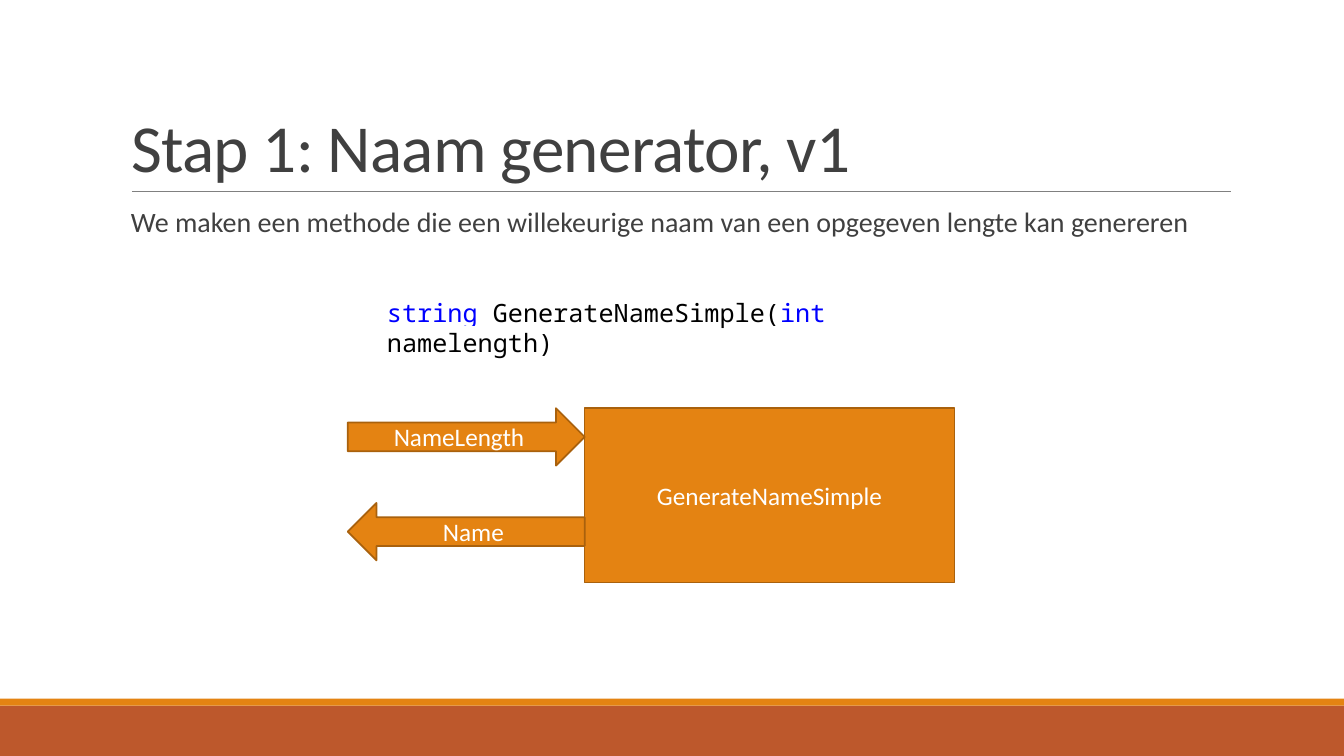
from typing import NamedTuple

from lxml import etree
from pptx import Presentation
from pptx.dml.color import RGBColor
from pptx.enum.shapes import MSO_CONNECTOR, MSO_SHAPE
from pptx.enum.text import MSO_ANCHOR, MSO_AUTO_SIZE, PP_ALIGN
from pptx.oxml.ns import qn
from pptx.slide import Slide
from pptx.text.text import TextFrame
from pptx.util import Pt

ORANGE = RGBColor(0xE4, 0x83, 0x12)
DARK_ORANGE = RGBColor(0xA9, 0x61, 0x0D)
RUST = RGBColor(0xBD, 0x58, 0x2C)
GRAY = RGBColor(0x80, 0x80, 0x80)
CHARCOAL = RGBColor(0x40, 0x40, 0x40)
WHITE = RGBColor(0xFF, 0xFF, 0xFF)
BLACK = RGBColor(0, 0, 0)
KEYWORD_BLUE = RGBColor(0, 0, 0xFF)

SLIDE_WIDTH, SLIDE_HEIGHT = 960, 540
CONTENT_LEFT, CONTENT_WIDTH = 86.4, 792
METHOD_LEFT, METHOD_TOP = 417.6, 291.6
ARROW_LEFT, ARROW_HEIGHT = 248.4, 41
ARROW_WIDTH = METHOD_LEFT - ARROW_LEFT


class Box(NamedTuple):
    left: float
    top: float
    width: float
    height: float

    def lengths(self) -> tuple[Pt, ...]:
        return tuple(Pt(value) for value in self)


class Block(NamedTuple):
    box: Box
    fill: RGBColor
    preset: MSO_SHAPE = MSO_SHAPE.RECTANGLE
    outline: RGBColor | None = None
    label: str = ""


class CodePart(NamedTuple):
    text: str
    color: RGBColor


BLOCKS = [
    Block(Box(0, 504, SLIDE_WIDTH, 36), RUST),
    Block(Box(0, 499, SLIDE_WIDTH, 5), ORANGE),
    Block(Box(METHOD_LEFT, METHOD_TOP, 264.2, 124.6), ORANGE,
          outline=DARK_ORANGE, label="GenerateNameSimple"),
    Block(Box(ARROW_LEFT, METHOD_TOP, ARROW_WIDTH, ARROW_HEIGHT), ORANGE,
          MSO_SHAPE.RIGHT_ARROW, DARK_ORANGE, "NameLength"),
    Block(Box(ARROW_LEFT, 359.3, ARROW_WIDTH, ARROW_HEIGHT), ORANGE,
          MSO_SHAPE.LEFT_ARROW, DARK_ORANGE, "Name"),
]

SIGNATURE = [
    CodePart("string", KEYWORD_BLUE),
    CodePart(" GenerateNameSimple(", BLACK),
    CodePart("int", KEYWORD_BLUE),
    CodePart(" namelength)", BLACK),
]


def write_text(frame: TextFrame, text: str, size: float, color: RGBColor) -> None:
    frame.word_wrap = True
    paragraph = frame.paragraphs[0]
    paragraph.text = text
    paragraph.font.name = "Calibri"
    paragraph.font.size = Pt(size)
    paragraph.font.color.rgb = color


def add_title(slide: Slide) -> None:
    title = slide.shapes.title
    title.left, title.top, title.width, title.height = Box(
        CONTENT_LEFT, 22.3, CONTENT_WIDTH, 114.5).lengths()
    frame = title.text_frame
    frame.auto_size = MSO_AUTO_SIZE.NONE
    frame.vertical_anchor = MSO_ANCHOR.BOTTOM
    write_text(frame, "Stap 1: Naam generator, v1", 48, CHARCOAL)
    paragraph = frame.paragraphs[0]
    paragraph.alignment = PP_ALIGN.LEFT
    paragraph.line_spacing = 0.85
    paragraph.runs[0]._r.get_or_add_rPr().set("spc", "-50")


def add_title_rule(slide: Slide) -> None:
    rule = slide.shapes.add_connector(
        MSO_CONNECTOR.STRAIGHT, Pt(94.3), Pt(136.8), Pt(879.1), Pt(136.8))
    rule.line.color.rgb = GRAY
    rule.line.width = Pt(0.5)
    etree.SubElement(rule._element.spPr, qn("a:effectLst"))


def add_intro(slide: Slide) -> None:
    intro = slide.shapes.add_textbox(
        *Box(CONTENT_LEFT, 145.4, CONTENT_WIDTH, 316.8).lengths())
    write_text(
        intro.text_frame,
        "We maken een methode die een willekeurige naam van een opgegeven lengte kan genereren",
        20, CHARCOAL)
    intro.text_frame.margin_right = 0
    intro.text_frame.paragraphs[0].line_spacing = 0.9


def add_block(slide: Slide, block: Block) -> None:
    shape = slide.shapes.add_shape(block.preset, *block.box.lengths())
    shape.shadow.inherit = False
    shape.fill.solid()
    shape.fill.fore_color.rgb = block.fill
    if block.outline is None:
        shape.line.fill.background()
    else:
        shape.line.color.rgb = block.outline
        shape.line.width = Pt(1.25)
    if block.label:
        frame = shape.text_frame
        frame.vertical_anchor = MSO_ANCHOR.MIDDLE
        write_text(frame, block.label, 18, WHITE)
        frame.paragraphs[0].alignment = PP_ALIGN.CENTER


def add_signature(slide: Slide) -> None:
    """Add the method signature with coloured keywords on a white highlight."""
    signature = slide.shapes.add_textbox(*Box(269.3, 208.8, 423.4, 28.8).lengths())
    signature.text_frame.word_wrap = True
    paragraph = signature.text_frame.paragraphs[0]
    paragraph.font.name = "Noto Sans Mono"
    paragraph.font.size = Pt(18)
    for part in SIGNATURE:
        run = paragraph.add_run()
        run.text = part.text
        run.font.color.rgb = part.color
        highlight = etree.SubElement(run._r.get_or_add_rPr(), qn("a:highlight"))
        etree.SubElement(highlight, qn("a:srgbClr"), val=str(WHITE))


def main() -> None:
    presentation = Presentation()
    presentation.slide_width = Pt(SLIDE_WIDTH)
    presentation.slide_height = Pt(SLIDE_HEIGHT)
    slide = presentation.slides.add_slide(
        presentation.slide_layouts.get_by_name("Title Only"))
    add_title(slide)
    add_title_rule(slide)
    add_intro(slide)
    for block in BLOCKS:
        add_block(slide, block)
    add_signature(slide)
    presentation.save("out.pptx")


if __name__ == "__main__":
    main()
